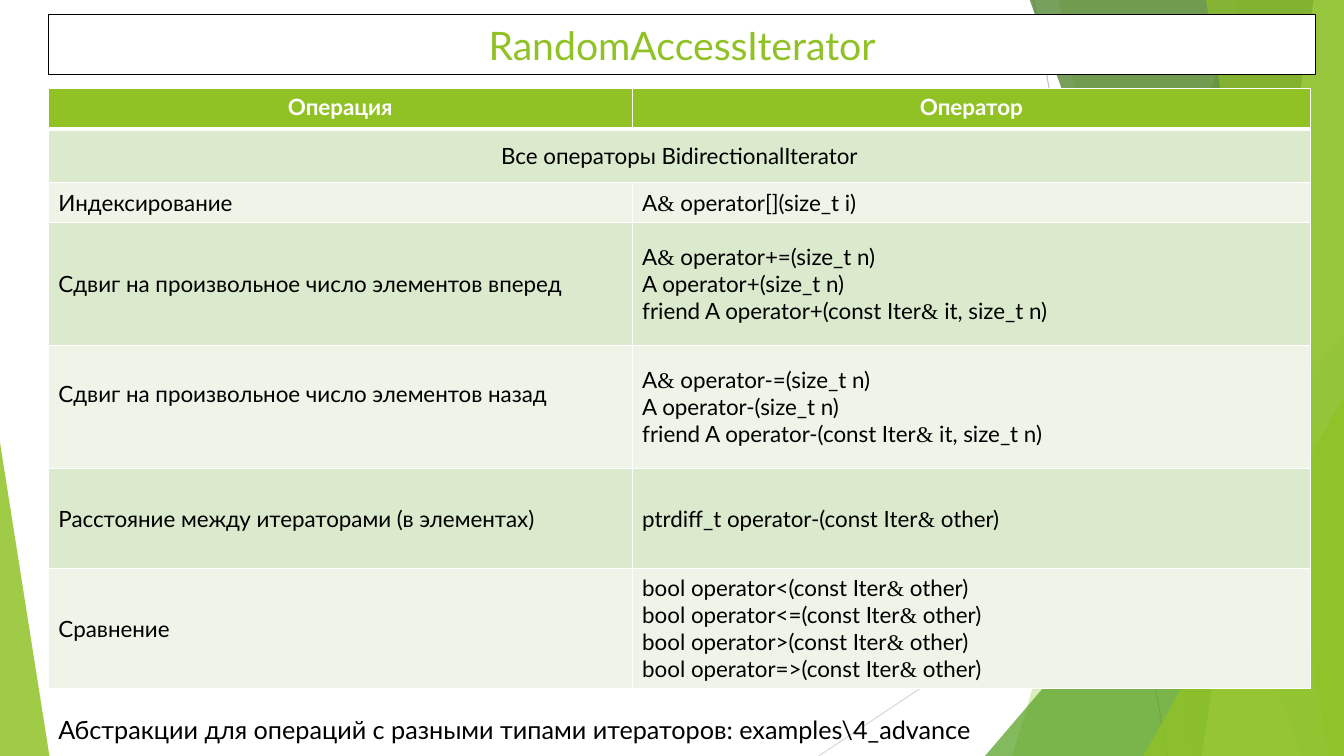
import pptx
import pptx.dml.color
import pptx.enum.shapes
import pptx.enum.text
import pptx.oxml
import pptx.oxml.ns
import pptx.util
from pptx.util import Inches

THEME = {
    "font": "Lato", "symbol_font": "Times New Roman",
    "title_size": 28, "table_size": 16, "note_size": 18,
    "accent": "90C226", "text": "000000", "white": "FFFFFF",
    "bands": ("DBE9CD", "EEF4E8"),
}
WIDTH, HEIGHT, TOP = 13.33, 7.5, -0.01

TITLE = "RandomAccessIterator"
HEADER = ("Операция", "Оператор")
COMMON = "Все операторы BidirectionalIterator"
OPERATIONS = [
    ("Индексирование", ["A& operator[](size_t i)"]),
    ("Сдвиг на произвольное число элементов вперед", [
        "A& operator+=(size_t n)",
        "A operator+(size_t n)",
        "friend A operator+(const Iter& it, size_t n)"]),
    ("Сдвиг на произвольное число элементов назад", [
        "A& operator-=(size_t n)",
        "A operator-(size_t n)",
        "friend A operator-(const Iter& it, size_t n)"]),
    ("Расстояние между итераторами (в элементах)", [
        "ptrdiff_t operator-(const Iter& other)"]),
    ("Сравнение", [f"bool operator{sign}(const Iter& other)"
                   for sign in ("<", "<=", ">", "=>")]),
]
NOTE = "Абстракции для операций с разными типами итераторов: examples\\4_advance"
COLUMNS = (5.79, 6.73)
ROWS = (0.4, 0.53, 0.4, 1.22, 1.22, 0.99, 1.19)
RAISED_ROW, RAISED_MARGIN = 4, 0.32

LINES = [((10.25, 0), (11.58, 7.5), "BFBFBF"), ((13.33, 4.03), (8.12, 7.5), "D9D9D9")]
FACETS = [
    ("band", (12.28, 10.04), "90C226", 30),
    ("band", (10.5, 11.83), "90C226", 20),
    ("triangle", (9.77, 3.33, 3.56, 1), "54A021", 72),
    ("band", (10.21, 12.91), "3F7819", 70),
    ("band", (13.03, 11.92), "C0E474", 70),
    ("band", (11.96, 13.18), "90C226", 65),
    ("triangle", (11.34, 3.93, 1.99, 1), "90C226", 80),
    ("triangle", (0, 4.39, 0.49, 0), "90C226", 85),
]


def rgb(color):
    return pptx.dml.color.RGBColor.from_string(color)


def element(xml):
    return pptx.oxml.parse_xml(xml.replace(" ", f" {pptx.oxml.ns.nsdecls('a')} ", 1))


def style(p, size, color, align=None, bold=False):
    p.font.name = THEME["font"]
    p.font.size = pptx.util.Pt(size)
    p.font.color.rgb = rgb(color)
    p.font.bold = bold
    p.alignment = align


def add_line(s, start, end, color):
    line = s.shapes.add_connector(pptx.enum.shapes.MSO_CONNECTOR.STRAIGHT,
                                  *map(Inches, start + end))
    line.line.color.rgb = rgb(color)
    line.line.width = pptx.util.Pt(0.75)
    line.element.spPr.append(element("<a:effectLst />"))


def add_facet(s, kind, place, color, opacity):
    if kind == "band":
        upper, lower = place
        outline = s.shapes.build_freeform(Inches(upper), Inches(TOP))
        corners = [(WIDTH, TOP), (WIDTH, HEIGHT), (lower, HEIGHT)]
        outline.add_line_segments([(Inches(x), Inches(y)) for x, y in corners])
        sp = outline.convert_to_shape()
    else:
        left, top, width, apex = place
        sp = s.shapes.add_shape(pptx.enum.shapes.MSO_SHAPE.ISOSCELES_TRIANGLE,
                                *map(Inches, (left, top, width, HEIGHT - top)))
        sp.adjustments[0] = apex
    sp.shadow.inherit = False
    sp.fill.solid()
    sp.fill.fore_color.rgb = rgb(color)
    sp.line.fill.background()
    fill_color = sp.element.xpath("./p:spPr/a:solidFill/a:srgbClr")[0]
    fill_color.append(element(f'<a:alpha val="{opacity * 1000}"/>'))


def add_title(s):
    title = s.shapes.title
    s.shapes.element.append(title.element)
    title.left, title.top, title.width, title.height = map(Inches, (0.48, 0.14, 12.57, 0.6))
    title.fill.solid()
    title.fill.fore_color.rgb = rgb(THEME["white"])
    title.line.color.rgb = rgb(THEME["text"])
    title.line.width = pptx.util.Pt(0.75)
    tf = title.text_frame
    tf.text = TITLE
    tf.auto_size = pptx.enum.text.MSO_AUTO_SIZE.NONE
    tf.vertical_anchor = pptx.enum.text.MSO_ANCHOR.MIDDLE
    style(tf.paragraphs[0], THEME["title_size"], THEME["accent"],
          pptx.enum.text.PP_ALIGN.CENTER)


def format_cell(cell, row):
    widths = {"L": 1, "R": 1, "T": 3 if row == 1 else 1, "B": 3 if row == 0 else 1}
    tc_pr = cell._tc.get_or_add_tcPr()
    for side, width in widths.items():
        tc_pr.append(element(
            f'<a:ln{side} w="{pptx.util.Pt(width)}"><a:solidFill>'
            f'<a:srgbClr val="{THEME["white"]}"/></a:solidFill></a:ln{side}>'))
    cell.fill.solid()
    cell.fill.fore_color.rgb = rgb(THEME["bands"][(row - 1) % 2] if row else THEME["accent"])
    if row:
        cell.vertical_anchor = pptx.enum.text.MSO_ANCHOR.MIDDLE


def write_cell(cell, lines, row):
    tf = cell.text_frame
    for i, line in enumerate(lines):
        p = tf.add_paragraph() if i else tf.paragraphs[0]
        for part in filter(None, line.partition("&")):
            r = p.add_run()
            r.text = part
            if part == "&":
                r.font.name = THEME["symbol_font"]
        style(p, THEME["table_size"], THEME["text" if row else "white"],
              pptx.enum.text.PP_ALIGN.CENTER if row < 2 else None, bold=row == 0)


def add_operations(s):
    content = [([HEADER[0]], [HEADER[1]]), ([COMMON], [])]
    content += [([name], operators) for name, operators in OPERATIONS]
    table = s.shapes.add_table(len(ROWS), len(COLUMNS), Inches(0.48), Inches(0.88),
                               Inches(sum(COLUMNS)), Inches(sum(ROWS))).table
    for column, width in zip(table.columns, COLUMNS):
        column.width = Inches(width)
    for row, (height, texts) in enumerate(zip(ROWS, content)):
        table.rows[row].height = Inches(height)
        for column, lines in enumerate(texts):
            cell = table.cell(row, column)
            format_cell(cell, row)
            write_cell(cell, lines, row)
    table.cell(1, 0).merge(table.cell(1, 1))
    table.cell(RAISED_ROW, 0).margin_bottom = Inches(RAISED_MARGIN)


def add_note(s):
    tf = s.shapes.add_textbox(*map(Inches, (0.48, 7.04, 9.36, 0.4))).text_frame
    tf.text = NOTE
    tf.word_wrap = False
    tf.auto_size = pptx.enum.text.MSO_AUTO_SIZE.SHAPE_TO_FIT_TEXT
    style(tf.paragraphs[0], THEME["note_size"], THEME["text"])


def main():
    prs = pptx.Presentation()
    prs.slide_width, prs.slide_height = Inches(WIDTH), Inches(HEIGHT)
    s = prs.slides.add_slide(prs.slide_layouts[5])
    for line in LINES:
        add_line(s, *line)
    for facet in FACETS:
        add_facet(s, *facet)
    add_title(s)
    add_operations(s)
    add_note(s)
    prs.save("out.pptx")


if __name__ == "__main__":
    main()
